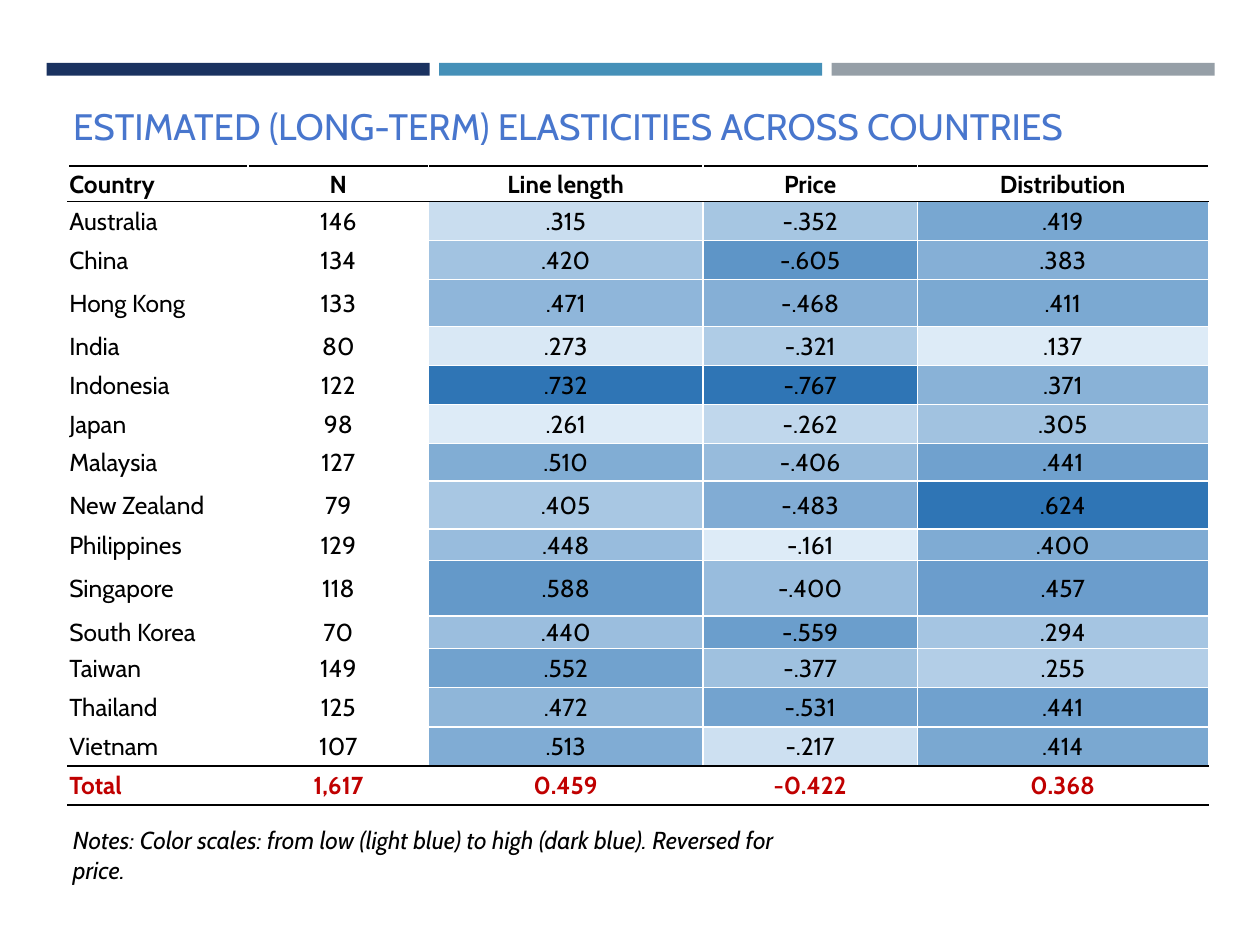
"""Build a slide with a shaded table of elasticities by country."""
from lxml import etree
from pptx import Presentation, util as u
from pptx.dml.color import RGBColor
from pptx.enum import shapes, text
from pptx.oxml.ns import qn

TITLE = "ESTIMATED (LONG-TERM) ELASTICITIES ACROSS COUNTRIES"
NOTE = ("Notes: Color scales: from low (light blue) to high (dark blue). "
        "Reversed for price.")
HEADER = ("Country", "N", "Line length", "Price", "Distribution")
COUNTRIES = [
    ("Australia", "146", ".315", "-.352", ".419"),
    ("China", "134", ".420", "-.605", ".383"),
    ("Hong Kong", "133", ".471", "-.468", ".411"),
    ("India", "80", ".273", "-.321", ".137"),
    ("Indonesia", "122", ".732", "-.767", ".371"),
    ("Japan", "98", ".261", "-.262", ".305"),
    ("Malaysia", "127", ".510", "-.406", ".441"),
    ("New Zealand", "79", ".405", "-.483", ".624"),
    ("Philippines", "129", ".448", "-.161", ".400"),
    ("Singapore", "118", ".588", "-.400", ".457"),
    ("South Korea", "70", ".440", "-.559", ".294"),
    ("Taiwan", "149", ".552", "-.377", ".255"),
    ("Thailand", "125", ".472", "-.531", ".441"),
    ("Vietnam", "107", ".513", "-.217", ".414"),
]
TOTAL = ("Total", "1,617", "0.459", "-0.422", "0.368")
ROWS = [HEADER, *COUNTRIES, TOTAL]
LAST = len(ROWS) - 1

COLORS = {
    "navy": "1A3260", "teal": "4590B8", "gray": "969FA7", "title": "4876CD",
    "text": "000000", "total": "C00000", "rule": "000000", "grid": "FFFFFF",
    "low": "DDEBF7", "high": "2F75B5",
}
FONT = "Cabin"
BARS = ("navy", "teal", "gray")
BAR_LEFT, BAR_TOP, BAR_W, BAR_H, BAR_GAP = 0.37, 0.5, 3.04, 0.1, 0.075
LEFT, WIDTH = 0.48, 9.05
TABLE_LEFT, TABLE_TOP = 0.54, 1.32
COL_W = (1.43, 1.43, 2.18, 1.7, 2.31)
ROW_H = 0.31
ROW_H_SPECIAL = {0: 0.28, 3: 0.37, 7: 0.3, 8: 0.38, 9: 0.25, 10: 0.44, 11: 0.26}
FIRST_SHADED = 2


def rgb(name):
    return RGBColor.from_string(COLORS[name])


def add_run(tf, words, size, color, bold=False, italic=False,
            align=text.PP_ALIGN.LEFT):
    p = tf.paragraphs[0]
    p.alignment = align
    r = p.add_run()
    r.text = words
    r.font.name, r.font.size = FONT, u.Pt(size)
    r.font.bold, r.font.italic = bold, italic
    r.font.color.rgb = rgb(color)


def shade(value, column):
    sizes = [abs(float(row[column])) for row in COUNTRIES]
    share = (abs(float(value)) - min(sizes)) / (max(sizes) - min(sizes))
    return RGBColor(*(round(a + (b - a) * share)
                      for a, b in zip(rgb("low"), rgb("high"))))


def add_border(cell, side, color, width):
    tc_pr = cell._tc.get_or_add_tcPr()
    ln = etree.SubElement(tc_pr, qn(f"a:ln{side}"), w=str(u.Pt(width)))
    fill = etree.SubElement(ln, qn("a:solidFill"))
    etree.SubElement(fill, qn("a:srgbClr"), val=COLORS[color])


def rule_above(i):
    if i in (0, LAST + 1):
        return "rule", 1.5
    return ("rule" if i in (1, LAST) else "grid"), 1


def fill_cell(cell, i, j, words):
    cell.margin_left = cell.margin_right = cell.margin_top = u.Inches(0.01)
    cell.margin_bottom = 0
    cell.vertical_anchor = text.MSO_ANCHOR.MIDDLE
    add_run(cell.text_frame, words, 14, "total" if i == LAST else "text",
            bold=i in (0, LAST),
            align=text.PP_ALIGN.CENTER if j else text.PP_ALIGN.LEFT)
    for side in "LR":
        add_border(cell, side, "grid", 1)
    add_border(cell, "T", *rule_above(i))
    add_border(cell, "B", *rule_above(i + 1))
    if j >= FIRST_SHADED and 0 < i < LAST:
        cell.fill.solid()
        cell.fill.fore_color.rgb = shade(words, j)
    else:
        cell.fill.background()


def add_bars(s):
    for k, color in enumerate(BARS):
        bar = s.shapes.add_shape(
            shapes.MSO_SHAPE.RECTANGLE,
            u.Inches(BAR_LEFT + k * (BAR_W + BAR_GAP)), u.Inches(BAR_TOP),
            u.Inches(BAR_W), u.Inches(BAR_H))
        bar.shadow.inherit = False
        bar.fill.solid()
        bar.fill.fore_color.rgb = rgb(color)
        bar.line.fill.background()


def add_title(s):
    sp = s.shapes.title
    sp.left, sp.top = u.Inches(LEFT), u.Inches(0.77)
    sp.width, sp.height = u.Inches(WIDTH), u.Inches(1.3)
    tf = sp.text_frame
    tf.vertical_anchor = text.MSO_ANCHOR.TOP
    add_run(tf, TITLE, 21, "title")


def add_elasticities(s):
    heights = [ROW_H_SPECIAL.get(i, ROW_H) for i in range(len(ROWS))]
    table = s.shapes.add_table(
        len(ROWS), len(COL_W), u.Inches(TABLE_LEFT), u.Inches(TABLE_TOP),
        u.Inches(sum(COL_W)), u.Inches(sum(heights))).table
    table.first_row = table.horz_banding = False
    for column, width in zip(table.columns, COL_W):
        column.width = u.Inches(width)
    for i, (row, height) in enumerate(zip(ROWS, heights)):
        table.rows[i].height = u.Inches(height)
        for j, words in enumerate(row):
            fill_cell(table.cell(i, j), i, j, words)


def add_note(s):
    sp = s.shapes.add_textbox(u.Inches(LEFT), u.Inches(6.5),
                              u.Inches(6.03), u.Inches(0.34))
    sp.text_frame.word_wrap = True
    add_run(sp.text_frame, NOTE, 14, "text", italic=True)


def main():
    prs = Presentation()
    prs.slide_width, prs.slide_height = u.Inches(10), u.Inches(7.5)
    s = prs.slides.add_slide(prs.slide_layouts[5])
    add_bars(s)
    add_title(s)
    add_elasticities(s)
    add_note(s)
    prs.save("out.pptx")


if __name__ == "__main__":
    main()
